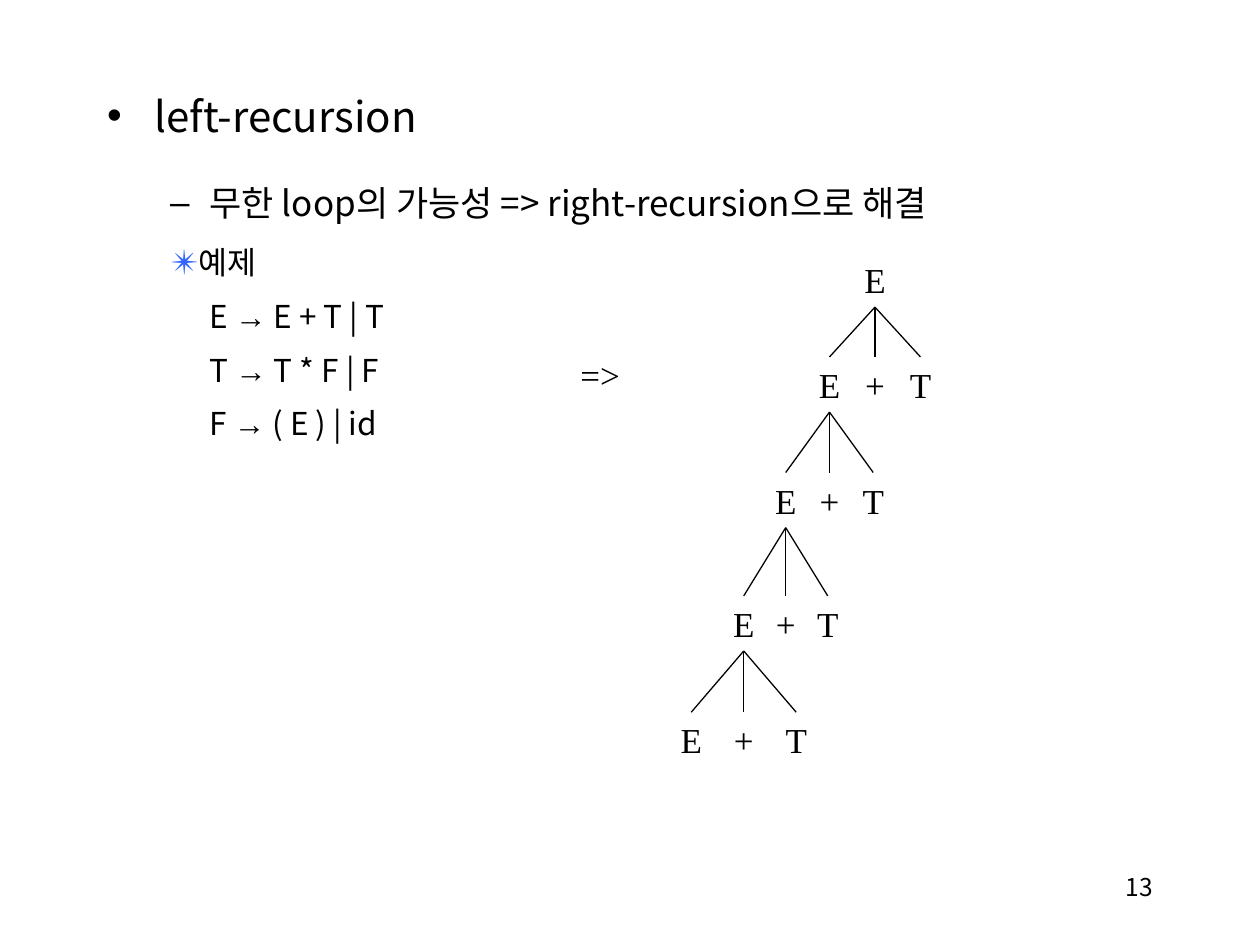
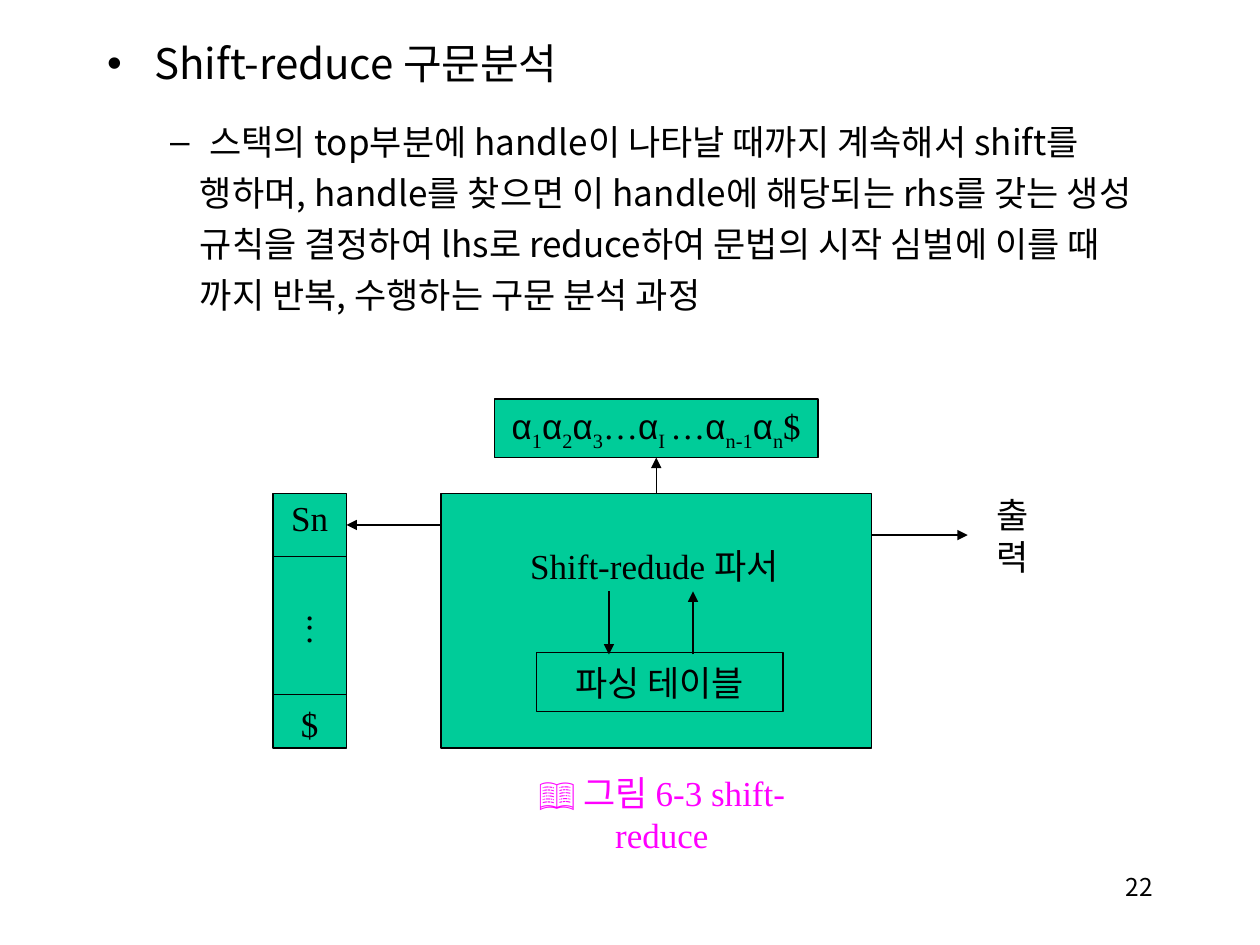
from pptx import Presentation
from pptx.dml.color import RGBColor
from pptx.enum import shapes, text
from pptx.oxml import ns
from pptx.util import Pt
from lxml import etree

BLACK = RGBColor(0x00, 0x00, 0x00)
BLUE = RGBColor(0x33, 0x66, 0xFF)
GREEN = RGBColor(0x00, 0xCC, 0x99)
MAGENTA = RGBColor(0xFF, 0x00, 0xFF)
SANS, SERIF, SYMBOL = "Noto Sans CJK KR", "Times New Roman", "Arial"
CENTER, RIGHT = text.PP_ALIGN.CENTER, text.PP_ALIGN.RIGHT
BOTTOM, TOP, LEFT = 2, 0, 1
LINE = Pt(0.75)


def add_run(p, content, size=20, font=SERIF, color=BLACK, sub=False):
    r = p.add_run()
    r.text = content
    r.font.size, r.font.name, r.font.color.rgb = Pt(size), font, color
    rPr = r.font._element
    etree.SubElement(rPr, ns.qn("a:ea")).set("typeface", SANS)
    if sub:
        rPr.set("baseline", "-25000")


def write(p, runs, align=None, before=0, after=0, spacing=1.0, level=0,
          margin=0, indent=0, bullet=None, **font):
    """Fill a paragraph; runs is a string or a list of (text, format) pairs."""
    p.level, p.line_spacing = level, spacing
    p.space_before, p.space_after = Pt(before), Pt(after)
    if align is not None:
        p.alignment = align
    pPr = p._p.get_or_add_pPr()
    pPr.set("marL", str(int(Pt(margin))))
    pPr.set("indent", str(int(Pt(indent))))
    if bullet:
        etree.SubElement(pPr, ns.qn("a:buChar")).set("char", bullet)
    else:
        etree.SubElement(pPr, ns.qn("a:buNone"))
    for content, extra in [(runs, {})] if isinstance(runs, str) else runs:
        add_run(p, content, **{**font, **extra})


def write_all(tf, items):
    """Write one paragraph for each (runs, format) pair."""
    for i, (runs, fmt) in enumerate(items):
        write(tf.add_paragraph() if i else tf.paragraphs[0], runs, **fmt)


def label(s, x, y, w, h, runs, wrap=False, **fmt):
    sp = s.shapes.add_textbox(Pt(x), Pt(y), Pt(w), Pt(h))
    tf = sp.text_frame
    tf.word_wrap, tf.vertical_anchor = wrap, text.MSO_ANCHOR.MIDDLE
    write(tf.paragraphs[0], runs, **{"align": CENTER, **fmt})
    return sp


def box(s, x, y, w, h, items=()):
    sp = s.shapes.add_shape(shapes.MSO_SHAPE.RECTANGLE, Pt(x), Pt(y), Pt(w), Pt(h))
    sp.shadow.inherit = False
    sp.fill.solid()
    sp.fill.fore_color.rgb = GREEN
    sp.line.color.rgb, sp.line.width = BLACK, LINE
    tf = sp.text_frame
    tf.word_wrap, tf.vertical_anchor = False, text.MSO_ANCHOR.MIDDLE
    write_all(tf, items)
    return sp


def line(s, x1, y1, x2, y2, arrow=False, begin=None, end=None):
    """Draw a line; begin and end are (shape, site) pairs to join."""
    cx = s.shapes.add_connector(shapes.MSO_CONNECTOR.STRAIGHT,
                                Pt(x1), Pt(y1), Pt(x2), Pt(y2))
    if begin:
        cx.begin_connect(*begin)
    if end:
        cx.end_connect(*end)
    cx.line.color.rgb, cx.line.width = BLACK, LINE
    spPr = cx._element.spPr
    if arrow:
        ln = spPr.find(ns.qn("a:ln"))
        etree.SubElement(ln, ns.qn("a:tailEnd")).set("type", "triangle")
    etree.SubElement(spPr, ns.qn("a:effectLst"))


def list_slide(prs, number, x, y, w, h, heading, items):
    """Add a slide with a headed list in the body and its page number."""
    s = prs.slides.add_slide(prs.slide_layouts[1])
    title = s.shapes.title._element
    title.getparent().remove(title)
    body = s.placeholders[1]
    body.left, body.top, body.width, body.height = Pt(x), Pt(y), Pt(w), Pt(h)
    tf = body.text_frame
    tf.auto_size = text.MSO_AUTO_SIZE.NONE
    top = dict(size=24, before=6, after=13.6, margin=27, indent=-27, bullet="•")
    write_all(tf, [(heading, {**top, "font": SANS})]
              + [(runs, {"level": 1, "font": SANS, **fmt}) for runs, fmt in items])
    label(s, 516, 492, 150, 29, number, wrap=True, align=RIGHT, size=14, font=SANS)
    return s


def parse_tree(s, cx, y):
    """Draw the growing left branch below a root centred on cx."""
    w, h = 26.5, 31.5

    def node(symbol, center, top):
        return label(s, center - w / 2, top, w, h, symbol)

    parent, parent_y = node("E", cx, y), y
    for drop, spread in [(60, 26), (126, 25), (196.5, 24), (263, 30)]:
        row_y = y + drop
        centers = [cx - spread, cx, cx + spread]
        children = [node(t, c, row_y) for t, c in zip("E+T", centers)]
        for child, center in zip(children, centers):
            line(s, cx, parent_y + h, center, row_y,
                 begin=(parent, BOTTOM), end=(child, TOP))
        parent, parent_y, cx = children[0], row_y, centers[0]


def stack(s, x, y, w, h):
    center = dict(align=CENTER)
    box(s, x, y, w, h, [
        ("Sn", center),
        (".", dict(center, before=14.6, spacing=1.5)),
        (":", dict(center, before=5, spacing=0.2)),
        ("$", dict(center, before=26, spacing=1.3)),
    ])
    for divider in (36, 115):
        line(s, x + w, y + divider, x, y + divider)


def input_buffer(s, x, y, w, h):
    runs = []
    for index, rest in [("1", ""), ("2", ""), ("3", "…"), ("I ", "…"),
                        ("n-1", ""), ("n", "$")]:
        runs += [("α", dict(font=SYMBOL)), (index, dict(sub=True))]
        if rest:
            runs.append((rest, {}))
    return box(s, x, y, w, h, [(runs, dict(align=CENTER))])


def parser_diagram(s, x, y):
    """Draw the shift-reduce parser with its stack, input, table and output."""
    parser_x, parser_y, parser_w, parser_h = x + 96, y + 54, 246, 145.5
    parser = box(s, parser_x, parser_y, parser_w, parser_h)
    buffer = input_buffer(s, x + 126.5, y, 185, 33.5)
    stack(s, x, parser_y, 42, parser_h)
    box(s, x + 150.5, y + 145, 141, 33.5, [("파싱 테이블", dict(align=CENTER))])
    label(s, x + 137.5, y + 79.5, 161, 31.5, "Shift-redude 파서")
    output = label(s, x + 397, y + 62, 51, 31.5, "출력")

    line(s, parser_x, y + 72, x + 42, y + 72, arrow=True)
    line(s, x + 219, parser_y, x + 219, y + 33.5, arrow=True,
         begin=(parser, TOP), end=(buffer, BOTTOM))
    line(s, parser_x + parser_w, y + 77.75, x + 397, y + 77.75, arrow=True,
         end=(output, LEFT))
    line(s, x + 192, y + 110, x + 192, y + 146, arrow=True)
    line(s, x + 240, y + 146, x + 240, y + 110, arrow=True)
    label(s, x + 122.5, y + 210, 199.5, 54,
          [("📖", dict(font=SYMBOL)), (" 그림 6-3 shift-reduce", {})],
          wrap=True, color=MAGENTA)


def left_recursion_slide(prs):
    example = dict(size=18, before=4.5, spacing=1.2)
    rules = [("E", "E + T | T"), ("T", "T * F | F"), ("F", "( E ) | id")]
    s = list_slide(prs, "13", 54, 48, 612, 246, "left-recursion", [
        ("무한 loop의 가능성 => right-recursion으로 해결",
         dict(before=5, spacing=1.2, margin=58.5, indent=-22.5, bullet="–")),
        ([("✴", dict(size=20, color=BLUE)), ("예제", {})],
         dict(example, margin=58.5, indent=-22.5)),
        *[([(left + " ", {}), ("→", dict(font=SYMBOL)), (" " + right, {})],
           dict(example, margin=58.5)) for left, right in rules],
    ])
    label(s, 324.5, 198, 37, 31.5, "=>")
    parse_tree(s, 500, 144)


def shift_reduce_slide(prs):
    continued = [
        "행하며, handle를 찾으면 이 handle에 해당되는 rhs를 갖는 생성",
        "규칙을 결정하여 lhs로 reduce하여 문법의 시작 심벌에 이를 때",
        "까지 반복, 수행하는 구문 분석 과정",
    ]
    s = list_slide(prs, "22", 54, 18, 648, 246, "Shift-reduce 구문분석", [
        ("스택의 top부분에 handle이 나타날 때까지 계속해서 shift를",
         dict(before=5, margin=58.5, indent=-22.5, bullet="–")),
        *[(t, dict(before=5, margin=53)) for t in continued],
    ])
    parser_diagram(s, 156, 228)


def main():
    prs = Presentation()
    prs.slide_width, prs.slide_height = Pt(720), Pt(540)
    left_recursion_slide(prs)
    shift_reduce_slide(prs)
    prs.save("out.pptx")


if __name__ == "__main__":
    main()
